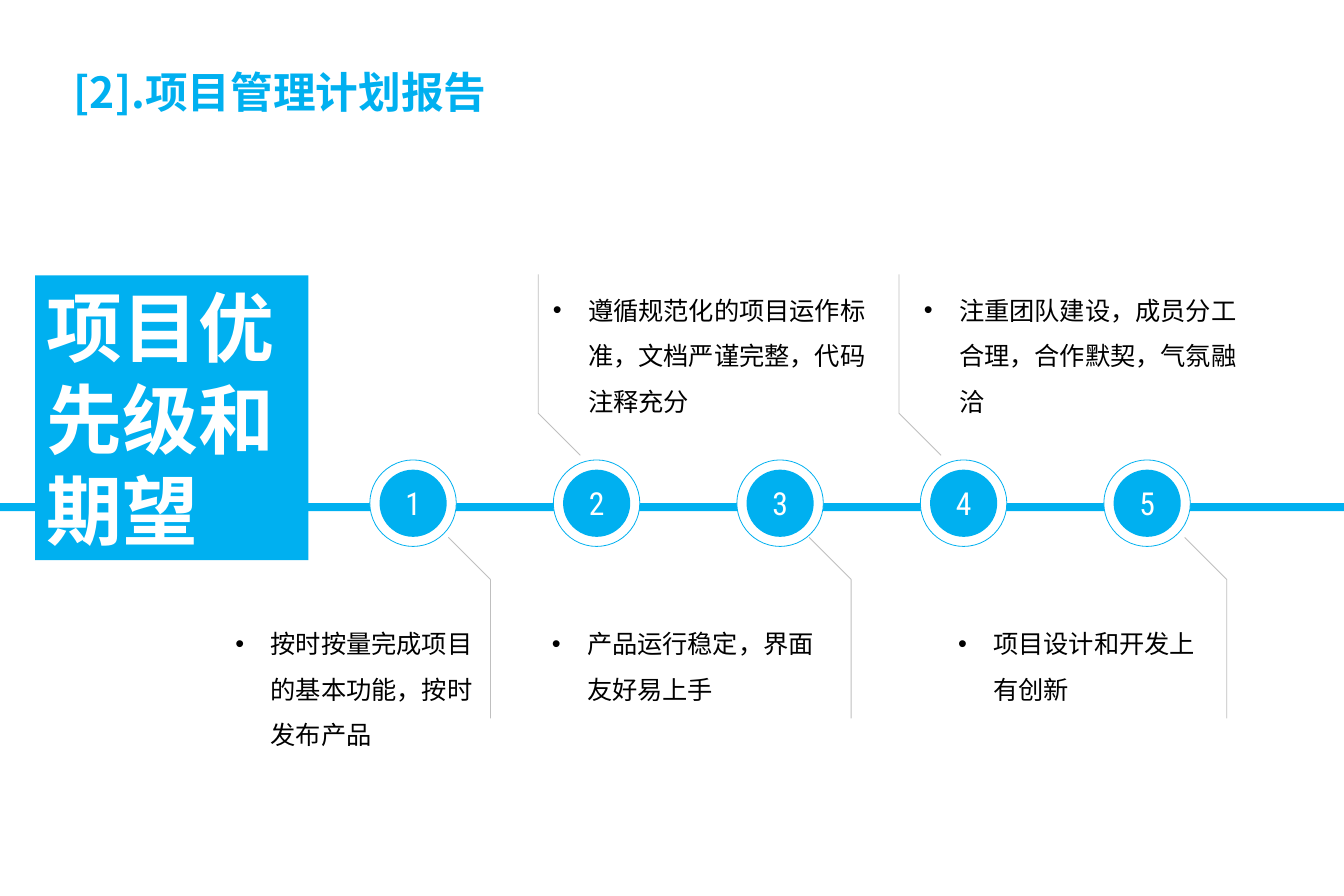
from dataclasses import dataclass

from lxml import etree
from pptx import Presentation
from pptx.dml.color import RGBColor
from pptx.enum.shapes import MSO_SHAPE
from pptx.enum.text import MSO_ANCHOR, PP_ALIGN
from pptx.oxml.ns import qn
from pptx.util import Inches, Pt

RECTANGLE, OVAL = MSO_SHAPE.RECTANGLE, MSO_SHAPE.OVAL
TOP, MIDDLE = MSO_ANCHOR.TOP, MSO_ANCHOR.MIDDLE
LEFT, CENTER = PP_ALIGN.LEFT, PP_ALIGN.CENTER

# Content
TITLE = "[2].项目管理计划报告"
HEADING = "项目优先级和期望"
# Goal text, text box left and width, leader line x, whether above the timeline
GOALS = [
    ("按时按量完成项目的基本功能，按时发布产品", 1.97, 2.35, 4.31, False),
    ("遵循规范化的项目运作标准，文档严谨完整，代码注释充分", 4.76, 2.95, 4.73, True),
    ("产品运行稳定，界面友好易上手", 4.75, 2.62, 7.48, False),
    ("注重团队建设，成员分工合理，合作默契，气氛融洽", 8.02, 3.04, 7.9, True),
    ("项目设计和开发上有创新", 8.32, 2.39, 10.78, False),
]


@dataclass(frozen=True)
class Theme:
    blue: str = "00B0F0"
    white: str = "FFFFFF"
    black: str = "000000"
    gray: str = "BFBFBF"
    text_font: str = "Noto Sans CJK SC"
    number_font: str = "Roboto Condensed"
    title_size: int = 27
    heading_size: int = 48
    number_size: int = 20
    goal_size: int = 16
    thin_line: float = 0.5


THEME = Theme()

# Layout in inches
SLIDE_WIDTH, SLIDE_HEIGHT = 11.81, 7.87
NODE_LEFT, NODE_STEP, NODE_CENTER_Y = 3.63, 1.6125, 4.42
RING_SIZE, DISC_SIZE = 0.76, 0.59
GOAL_TOP = {True: 2.41, False: 5.34}
LEADER_Y = {True: (2.41, 3.63, 4.0), False: (6.31, 5.09, 4.72)}
LEADER_SLANT = 0.37

deck = Presentation()
deck.slide_width, deck.slide_height = Inches(SLIDE_WIDTH), Inches(SLIDE_HEIGHT)
page = deck.slides.add_slide(deck.slide_layouts[6])


def color(code):
    return RGBColor.from_string(code)


def add_box(kind, left, top, width, height, fill, line=None):
    box = page.shapes.add_shape(
        kind, Inches(left), Inches(top), Inches(width), Inches(height))
    box.shadow.inherit = False
    box.fill.solid()
    box.fill.fore_color.rgb = color(fill)
    if line:
        box.line.color.rgb = color(line)
        box.line.width = Pt(THEME.thin_line)
    else:
        box.line.fill.background()
    return box


def add_circle(center_x, size, fill, line=None):
    return add_box(OVAL, center_x - size / 2, NODE_CENTER_Y - size / 2,
                   size, size, fill, line)


def add_text_box(left, top, width, height):
    return page.shapes.add_textbox(
        Inches(left), Inches(top), Inches(width), Inches(height))


def add_bullet(para):
    properties = para._p.get_or_add_pPr()
    indent = Inches(0.31)
    properties.set("marL", str(indent))
    properties.set("indent", str(-indent))
    bullet_color = etree.SubElement(properties, qn("a:buClr"))
    etree.SubElement(bullet_color, qn("a:srgbClr"), val=THEME.black)
    etree.SubElement(properties, qn("a:buFont"), typeface="Arial")
    etree.SubElement(properties, qn("a:buChar"), char="•")


def write(box, text, *, size, ink, font=THEME.text_font, bold=False,
          align=LEFT, anchor=TOP, spacing=None, bullet=False):
    frame = box.text_frame
    frame.word_wrap = True
    frame.vertical_anchor = anchor
    para = frame.paragraphs[0]
    para.alignment = align
    if spacing:
        para.line_spacing = spacing
    if bullet:
        add_bullet(para)
    span = para.add_run()
    span.text = text
    span.font.size = Pt(size)
    span.font.bold = bold
    span.font.name = font
    span.font.color.rgb = color(ink)
    etree.SubElement(span._r.get_or_add_rPr(), qn("a:ea"), typeface=font)


def add_leader(x, above):
    outer, bend, inner = LEADER_Y[above]
    end_x = x + LEADER_SLANT if above else x - LEADER_SLANT
    builder = page.shapes.build_freeform(Inches(x), Inches(outer))
    builder.add_line_segments(
        [(Inches(x), Inches(bend)), (Inches(end_x), Inches(inner))], close=False)
    leader = builder.convert_to_shape()
    leader.shadow.inherit = False
    leader.fill.background()
    leader.line.color.rgb = color(THEME.gray)
    leader.line.width = Pt(THEME.thin_line)


# Title, timeline bar and heading block
write(add_text_box(0.55, 0.49, 10.63, 0.62), TITLE, size=THEME.title_size,
      ink=THEME.blue, bold=True, anchor=MIDDLE)
add_box(RECTANGLE, 0, 4.42, SLIDE_WIDTH, 0.07, THEME.blue)
write(add_box(RECTANGLE, 0.31, 2.42, 2.4, 2.5, THEME.blue), HEADING,
      size=THEME.heading_size, ink=THEME.white, bold=True)

# Numbered nodes with their leader lines and goals
for index, (goal, left, width, leader_x, above) in enumerate(GOALS):
    center_x = NODE_LEFT + index * NODE_STEP
    add_circle(center_x, RING_SIZE, THEME.white, THEME.blue)
    write(add_circle(center_x, DISC_SIZE, THEME.blue), str(index + 1),
          size=THEME.number_size, ink=THEME.white, font=THEME.number_font,
          align=CENTER, anchor=MIDDLE)
    add_leader(leader_x, above)
    write(add_text_box(left, GOAL_TOP[above], width, 1.3), goal,
          size=THEME.goal_size, ink=THEME.black, spacing=1.5, bullet=True)

deck.save("out.pptx")
